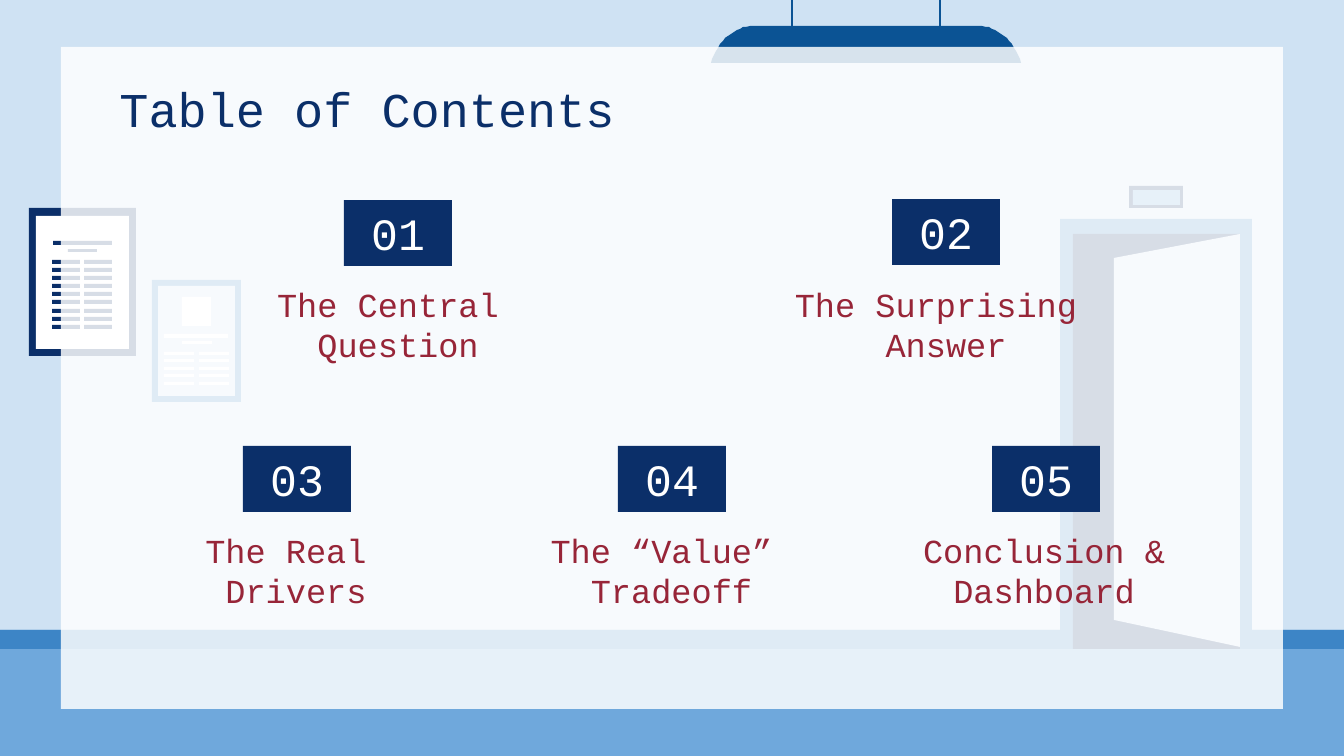
from lxml import etree
from pptx import Presentation, util as u
from pptx.dml.color import RGBColor
from pptx.enum import shapes, text
from pptx.oxml.ns import qn

PX = 914400 / 134.4
FONT = "Courier New"
COLORS = {
    "sky": "CFE2F3", "floor": "6FA8DC", "trim": "3D85C6", "lamp": "0B5394",
    "navy": "0B2F69", "white": "FFFFFF", "red": "972538",
}


def add_block(color, left, top, width, height):
    """Add a plain filled rectangle, measured in px."""
    block = page.shapes.add_shape(
        shapes.MSO_SHAPE.RECTANGLE, *[round(v * PX) for v in (left, top, width, height)])
    block.shadow.inherit = False
    block.fill.solid()
    block.fill.fore_color.rgb = RGBColor.from_string(COLORS[color])
    block.line.fill.background()
    return block


def write(box, words, size, color, align, anchor):
    """Put words in a box and format every paragraph the same way."""
    frame = box.text_frame
    frame.text = words
    frame.word_wrap = True
    frame.auto_size = text.MSO_AUTO_SIZE.NONE
    frame.vertical_anchor = anchor
    frame.margin_left = frame.margin_right = u.Inches(0.1)
    frame.margin_top = frame.margin_bottom = u.Inches(0.1)
    for para in frame.paragraphs:
        para.alignment = align
        para.line_spacing = 1.0
        para.space_before = u.Pt(0)
        for span in para.runs:
            span.font.name = FONT
            span.font.size = u.Pt(size)
            span.font.color.rgb = RGBColor.from_string(COLORS[color])


deck = Presentation()
deck.slide_width = round(1344 * PX)
deck.slide_height = round(756 * PX)
page = deck.slides.add_slide(deck.slide_layouts[5])
page.background.fill.solid()
page.background.fill.fore_color.rgb = RGBColor.from_string(COLORS["sky"])

# Floor and skirting board
add_block("floor", -7, 630, 1358, 128)
add_block("trim", 0, 630, 1351, 19)

# Wall posters: frame, paper and headings, then two columns of text lines
posters = [
    ("white", [("trim", 152, 280, 89, 122), ("sky", 158, 286, 77, 110),
               ("white", 182, 297, 29, 29), ("white", 164, 334, 64, 4),
               ("white", 182, 341, 30, 3)],
     (164, 199), 30, 352, 7.4, 5, 3),
    ("navy", [("navy", 29, 208, 107, 148), ("white", 36, 216, 93, 133),
              ("navy", 53, 241, 59, 4), ("navy", 68, 249, 29, 3)],
     (52, 84), 28, 260, 8.1, 9, 4),
]
for color, parts, columns, width, top, pitch, rows, height in posters:
    for part in parts:
        add_block(*part)
    for left in columns:
        for row in range(rows):
            add_block(color, left, round(top + row * pitch), width, height)

# Door frame, dark opening and the sign above it
add_block("trim", 1060, 219, 192, 430)
add_block("navy", 1073, 234, 167, 415)
add_block("navy", 1129, 186, 54, 22)
add_block("floor", 1133, 190, 47, 15)

# Lamp shade: its left edge is a Bezier curve, mirrored about the centre
curve = [(753, 26), (735, 26), (718, 40), (711, 63)]
steps = 16
left_edge = []
for step in range(steps + 1):
    t = step / steps
    weights = ((1 - t) ** 3, 3 * t * (1 - t) ** 2, 3 * t * t * (1 - t), t ** 3)
    left_edge.append(tuple(sum(w * point[axis] for w, point in zip(weights, curve))
                           for axis in (0, 1)))
right_edge = [(1732 - x, y) for x, y in reversed(left_edge)]
door_leaf = [(1240, 234), (1114, 258), (1114, 620), (1240, 647)]

for color, points in (("sky", door_leaf), ("lamp", left_edge + right_edge)):
    builder = page.shapes.build_freeform(*points[0], scale=PX)
    builder.add_line_segments(points[1:], close=True)
    outline = builder.convert_to_shape()
    outline.shadow.inherit = False
    outline.fill.solid()
    outline.fill.fore_color.rgb = RGBColor.from_string(COLORS[color])
    outline.line.fill.background()

for x in (792, 940):
    cord = page.shapes.add_connector(
        shapes.MSO_CONNECTOR.STRAIGHT, *[round(v * PX) for v in (x, 31, x, -1)])
    cord.line.color.rgb = RGBColor.from_string(COLORS["lamp"])
    cord.line.width = u.Pt(1.11)
    etree.SubElement(cord._element.spPr, qn("a:effectLst"))

# Translucent panel behind the contents
panel = add_block("white", 61, 47, 1222, 662)
panel_color = panel._element.spPr.find(qn("a:solidFill"))[0]
etree.SubElement(panel_color, qn("a:alpha")).set("val", "84000")

# The title is moved to the front of the scenery
title = page.shapes.title
page.shapes._spTree.append(title._element)
title.left, title.top, title.width, title.height = [
    round(v * PX) for v in (106, 66, 1133, 85)]
write(title, "Table of Contents", 26, "navy", text.PP_ALIGN.LEFT, text.MSO_ANCHOR.TOP)

# Sections: number, name, middle of the number, top of the number, name box
sections = [
    ("01", "The Central \nQuestion", 398, 200, 124, 277, 548),
    ("02", "The Surprising \nAnswer", 946, 199, 672, 277, 548),
    ("03", "The Real \nDrivers", 297, 446, 124, 523, 344),
    ("04", "The “Value” \nTradeoff", 672, 446, 457, 523, 429),
    ("05", "Conclusion &\nDashboard", 1046, 446, 872, 523, 344),
]
for number, name, middle, top, name_left, name_top, name_width in sections:
    badge = add_block("navy", middle - 54, top, 108, 66)
    write(badge, number, 24, "white", text.PP_ALIGN.CENTER, text.MSO_ANCHOR.MIDDLE)
    label = page.shapes.add_textbox(
        *[round(v * PX) for v in (name_left, name_top, name_width, 101)])
    write(label, name, 18, "red", text.PP_ALIGN.CENTER, text.MSO_ANCHOR.BOTTOM)

deck.save("out.pptx")
